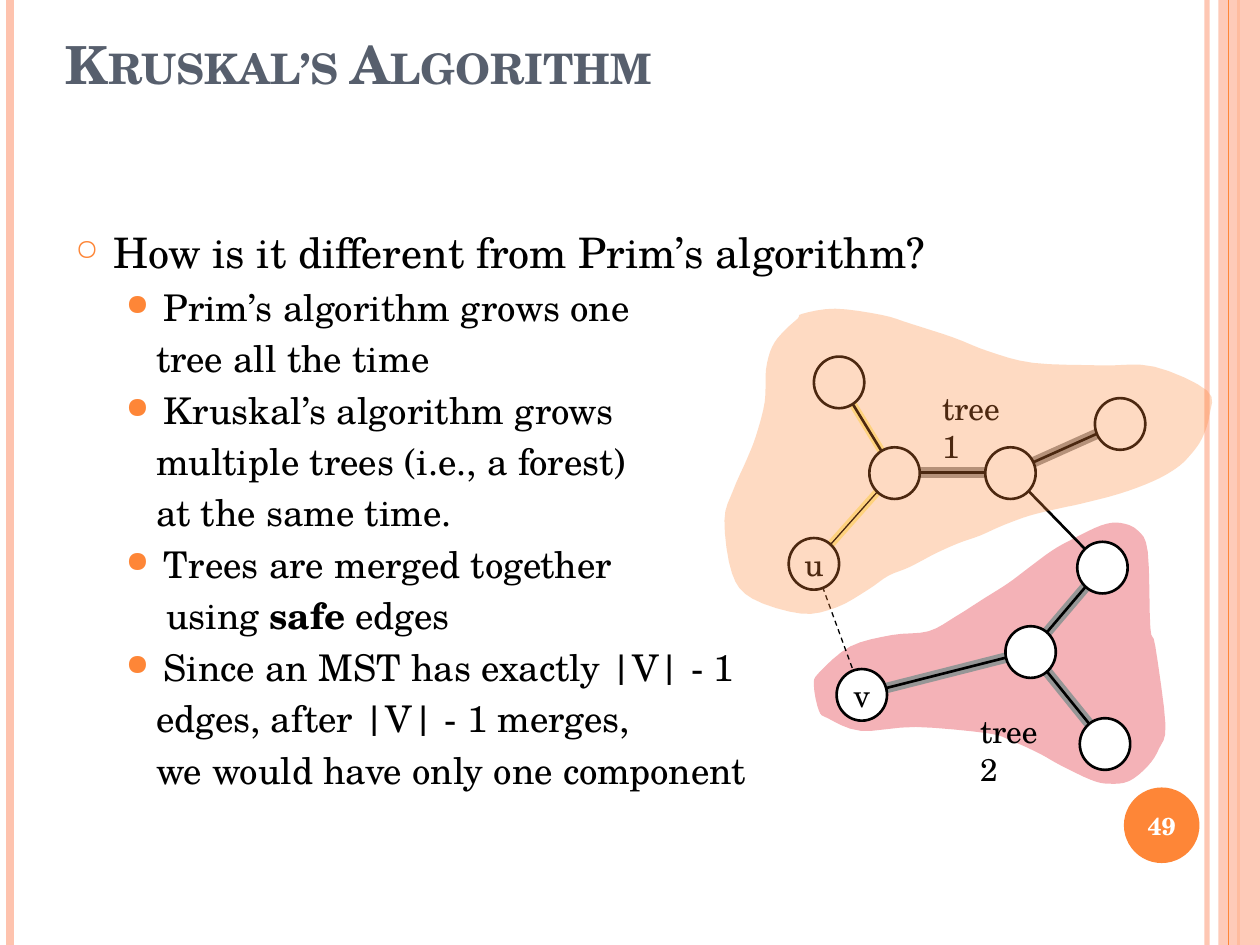
import math
import pptx
import pptx.util
import pptx.dml.color
import pptx.enum.dml
import pptx.enum.shapes
import pptx.enum.text
import pptx.oxml.ns
from lxml import etree

PX = 9144  # EMU per px, 100 px to the inch
FACE = "TeX Gyre Schola"
ORANGE, PEACH, BLACK, WHITE = "FE8637", "FEC3AE", "000000", "FFFFFF"
KIND = pptx.enum.shapes.MSO_SHAPE
ALIGN = pptx.enum.text.PP_ALIGN
ANCHOR = pptx.enum.text.MSO_ANCHOR


def px(*nums):
    return [round(n * PX) for n in nums]


def sub(node, tag, **attrs):
    return etree.SubElement(node, pptx.oxml.ns.qn(tag), attrs)


def paint(form, tint, alpha=100):
    """Set the colour of a solid fill, with its opacity in percent."""
    form.solid()
    form.fore_color.rgb = pptx.dml.color.RGBColor.from_string(tint)
    if alpha < 100:
        clr = form._xPr.find(".//" + pptx.oxml.ns.qn("a:srgbClr"))
        sub(clr, "a:alpha", val=str(alpha * 1000))


def write(para, text, size=18, tint=BLACK, bold=False, caps=False):
    """Add runs to a paragraph; each newline is a line break."""
    for i, part in enumerate(text.split("\n")):
        if i:
            para.add_line_break()
        run = para.add_run()
        run.text = part
        font = run.font
        font.name, font.size, font.bold = FACE, pptx.util.Pt(size), bold
        paint(font.fill, tint)
        if caps:
            run._r.get_or_add_rPr().set("cap", "small")


def frame(slide, x, y, w, h, anchor=ANCHOR.TOP, wrap=True):
    text = slide.shapes.add_textbox(*px(x, y, w, h)).text_frame
    text.word_wrap = wrap
    text.vertical_anchor = anchor
    return text


def line(slide, start, end, tint=BLACK, width=1.5, dash=False, alpha=100):
    link = slide.shapes.add_connector(
        pptx.enum.shapes.MSO_CONNECTOR.STRAIGHT, *px(*start, *end))
    link.line.width = pptx.util.Pt(width)
    paint(link.line.fill, tint, alpha)
    if dash:
        link.line.dash_style = pptx.enum.dml.MSO_LINE.DASH
    sub(link._element.spPr, "a:effectLst")


def shape(slide, kind, x, y, w, h, fill, edge=None, alpha=100):
    item = slide.shapes.add_shape(kind, *px(x, y, w, h))
    item.shadow.inherit = False
    paint(item.fill, fill, alpha)
    if edge:
        paint(item.line.fill, edge)
        item.line.width = pptx.util.Pt(1.5)
    else:
        item.line.fill.background()
    return item


def label(item, text, **form):
    """Centre text within a shape."""
    box = item.text_frame
    box.margin_left = box.margin_right = box.margin_top = box.margin_bottom = 0
    box.word_wrap = False
    box.vertical_anchor = ANCHOR.MIDDLE
    box.paragraphs[0].alignment = ALIGN.CENTER
    write(box.paragraphs[0], text, **form)


def border(slide, wide, high):
    for x, tint, width, alpha in ((958, PEACH, 3, 93), (8, PEACH, 4.5, 100),
                                  (983, ORANGE, 1.5, 100)):
        line(slide, (x, 0), (x, high), tint, width, alpha=alpha)
    shape(slide, KIND.RECTANGLE, wide - 33, 0, 33, high, PEACH, alpha=87)
    line(slide, (wide - 25, 0), (wide - 25, high), ORANGE, 0.75)
    disc = shape(slide, KIND.OVAL, 892, 625, 60, 60, ORANGE)
    label(disc, "49", size=14, tint=WHITE, bold=True)


def indent(para, left, hang=0, mark=None, scale=100):
    """Set the indent of a paragraph and, if given, its bullet."""
    prop = para._p.get_or_add_pPr()
    prop.set("marL", str(left * PX))
    prop.set("indent", str(-hang * PX))
    if mark:
        sub(sub(prop, "a:buClr"), "a:srgbClr", val=ORANGE)
        sub(prop, "a:buSzPct", val=str(scale * 1000))
        sub(prop, "a:buChar", char=mark)
    else:
        sub(prop, "a:buNone")


POINTS = [
    ["Prim’s algorithm grows one", "tree all the time"],
    ["Kruskal’s algorithm grows", "multiple trees (i.e., a forest)",
     "at the same time."],
    ["Trees are merged together", "using *safe* edges"],
    ["Since an MST has exactly |V| - 1", "edges, after |V| - 1 merges,",
     "we would have only one component"],
]


def body(slide, x, y, w, h):
    box = frame(slide, x, y, w, h)
    indent(box.paragraphs[0], 30, 30, "○", 70)
    write(box.paragraphs[0], "How is it different from Prim’s algorithm?", size=24)
    for point in POINTS:
        for i, text in enumerate(point):
            para = box.add_paragraph()
            if i == 0:
                indent(para, 70, 30, "●", 80)
            else:
                indent(para, 72 if "*" in text else 64)
            para.space_before = pptx.util.Pt(4.2)
            for j, part in enumerate(text.split("*")):
                write(para, part, size=21, bold=j % 2 == 1)


def blob(slide, x, y, knots, tint):
    """Draw a closed smooth outline through the knots."""
    def curve(a, b, c, d, t):
        return (2 * b + (c - a) * t + (2 * a - 5 * b + 4 * c - d) * t ** 2
                + (3 * b - a - 3 * c + d) * t ** 3) / 2

    path = []
    for i in range(len(knots)):
        near = [knots[(i + k) % len(knots)] for k in (-1, 0, 1, 2)]
        for step in range(4):
            u, v = (curve(*axis, step / 4) for axis in zip(*near))
            path.append(px(x + u, y + v))
    pen = slide.shapes.build_freeform(*path[0])
    pen.add_line_segments(path[1:], close=True)
    item = pen.convert_to_shape()
    item.shadow.inherit = False
    paint(item.fill, tint, 30)
    item.line.fill.background()


TREE1 = [
    (60, 8), (49, 18), (40, 30), (35, 48), (34, 74), (27, 101), (20, 119),
    (9, 144), (2, 168), (8, 210), (24, 230), (63, 242), (91, 237), (116, 223),
    (132, 212), (149, 205), (170, 194), (188, 186), (205, 180), (223, 172),
    (245, 164), (270, 158), (284, 155), (315, 147), (342, 137), (360, 127),
    (371, 117), (381, 103), (387, 84), (385, 65), (343, 46), (301, 45),
    (247, 43), (212, 34), (184, 23), (150, 12), (127, 5), (90, 0), (64, 4)]
TREE2 = [
    (164, 256), (135, 259), (102, 268), (77, 289), (73, 299), (77, 319),
    (84, 325), (110, 335), (154, 332), (211, 337), (230, 343), (252, 353),
    (268, 362), (293, 374), (307, 377), (323, 375), (338, 363), (347, 349),
    (352, 330), (344, 268), (340, 253), (338, 193), (330, 176), (316, 170),
    (301, 172), (278, 183), (262, 192), (243, 206), (227, 218), (208, 230),
    (186, 244)]
NODES = {"u": (53, 182), "a": (117, 110), "b": (209, 110), "c": (296, 71),
         "d": (282, 185), "e": (73, 38), "f": (225, 252), "g": (284, 325),
         "v": (91, 286)}
GREY, YELLOW = ("969696", 6), ("FFF39D", 4.5)
EDGES = [("a", "b", GREY, 1.5), ("b", "c", GREY, 1.5), ("v", "f", GREY, 1.5),
         ("f", "d", GREY, 1.5), ("f", "g", GREY, 1.5), ("u", "a", YELLOW, 0.75),
         ("e", "a", YELLOW, 1.5), ("b", "d", None, 1.5), ("u", "v", None, 0.75)]


def graph(slide, x, y):
    blob(slide, x, y, TREE2, "DD0111")
    mid = {key: (x + p + 20, y + q + 20) for key, (p, q) in NODES.items()}
    for one, two, halo, width in EDGES:
        (p, q), (r, s) = mid[one], mid[two]
        part = 20 / math.dist(mid[one], mid[two])  # centre to rim
        dx, dy = (r - p) * part, (s - q) * part
        ends = (p + dx, q + dy), (r - dx, s - dy)
        if halo:
            line(slide, *ends, *halo)
        line(slide, *ends, width=width, dash=(one, two) == ("u", "v"))
    for key, (p, q) in NODES.items():
        node = shape(slide, KIND.OVAL, x + p, y + q, 40, 41, WHITE, BLACK)
        if key in "uv":
            label(node, key)
    for text, p, q in (("tree\n1", 165, 59), ("tree\n2", 195, 315)):
        write(frame(slide, x + p, y + q, 77, 65, wrap=False).paragraphs[0], text)
    blob(slide, x, y, TREE1, ORANGE)


def main():
    deck = pptx.Presentation()
    deck.slide_width, deck.slide_height = px(1000, 750)
    slide = deck.slides.add_slide(deck.slide_layouts[6])
    border(slide, 1000, 750)
    head = frame(slide, 42, 8, 817, 72, ANCHOR.BOTTOM)
    write(head.paragraphs[0], "Kruskal’s Algorithm", size=30, tint="575F6D",
          bold=True, caps=True)
    body(slide, 50, 175, 817, 533)
    graph(slide, 573, 245)
    deck.save("out.pptx")


if __name__ == "__main__":
    main()
